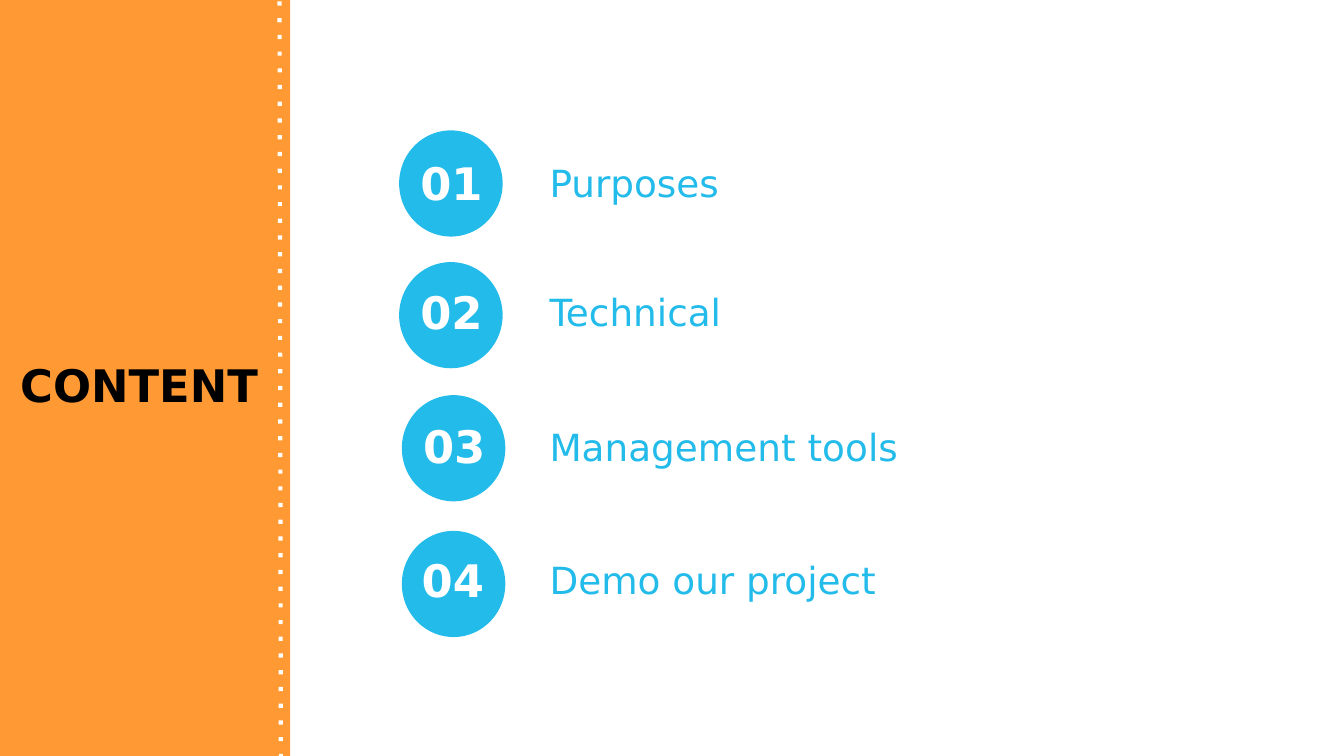
from lxml.etree import SubElement
from pptx import Presentation
from pptx.dml.color import RGBColor
from pptx.enum.shapes import MSO_CONNECTOR as Conn, MSO_SHAPE as Form
from pptx.enum.text import MSO_ANCHOR as Anchor, PP_ALIGN as Align
from pptx.oxml.ns import qn
from pptx.util import Inches, Pt

BLUE = RGBColor(0x22, 0xBB, 0xEA)
ORANGE = RGBColor(0xFF, 0x99, 0x33)
WHITE = RGBColor(0xFF, 0xFF, 0xFF)
BLACK = RGBColor(0, 0, 0)
FONT = "DejaVu Sans"

WIDE = 10
HIGH = WIDE * 9 / 16
TITLE = "CONTENT"
ITEMS = [
    ("Purposes", (2.97, 0.97), (3.36, 1.17), 1.14),
    ("Technical", (2.97, 1.95), (3.36, 2.13), 2.10),
    ("Management tools", (2.99, 2.94), (3.38, 3.13), 3.11),
    ("Demo our project", (2.99, 3.95), (3.37, 4.13), 4.10),
]
NUM_W, NUM_H = 0.77, 0.37


def box(*nums):
    return [Inches(n) for n in nums]


def place(shape, *nums):
    shape.left, shape.top, shape.width, shape.height = box(*nums)


def paint(shape, color):
    shape.shadow.inherit = False
    shape.fill.solid()
    shape.fill.fore_color.rgb = color
    shape.line.fill.background()


def write(shape, text, size, color, head=False):
    frame = shape.text_frame
    frame.word_wrap = True
    frame.vertical_anchor = Anchor.MIDDLE if head else Anchor.TOP
    para = frame.paragraphs[0]
    para.alignment = Align.CENTER if head else Align.LEFT
    if head:
        para.space_before = Pt(3.2)
    run = para.add_run()
    run.text = text
    font = run.font
    font.name, font.size, font.bold = FONT, Pt(size), head
    font.color.rgb = color


deck = Presentation()
deck.slide_width, deck.slide_height = box(WIDE, HIGH)
slide = deck.slides.add_slide(deck.slide_layouts[5])
shapes = slide.shapes
title = shapes.title

panel = shapes.add_shape(Form.RECTANGLE, *box(-0.02, 0, 2.18, HIGH))
paint(panel, ORANGE)
title.element.addprevious(panel.element)

place(title, 0.03, 2.61, 2.01, 0.5)
write(title, TITLE, 24, BLACK, True)

dots = shapes.add_connector(Conn.STRAIGHT, *box(2.09, 5.64, 2.08, 0))
dots.line.color.rgb = WHITE
dots.line.width = Pt(2.25)
props = dots.element.spPr
SubElement(props.find(qn("a:ln")), qn("a:prstDash"), val="dot")
SubElement(props, qn("a:effectLst"))

for count, (label, spot, (mid, top), row) in enumerate(ITEMS, 1):
    group = shapes.add_group_shape().shapes
    disc = group.add_shape(Form.OVAL, *box(*spot, 0.77, 0.79))
    paint(disc, BLUE)
    num = group.add_textbox(*box(mid - NUM_W / 2, top, NUM_W, NUM_H))
    write(num, f"{count:02}", 24, WHITE, True)
    text = shapes.add_textbox(*box(3.99, row, 4.19, 0.44))
    write(text, label, 20, BLUE)

deck.save("out.pptx")
